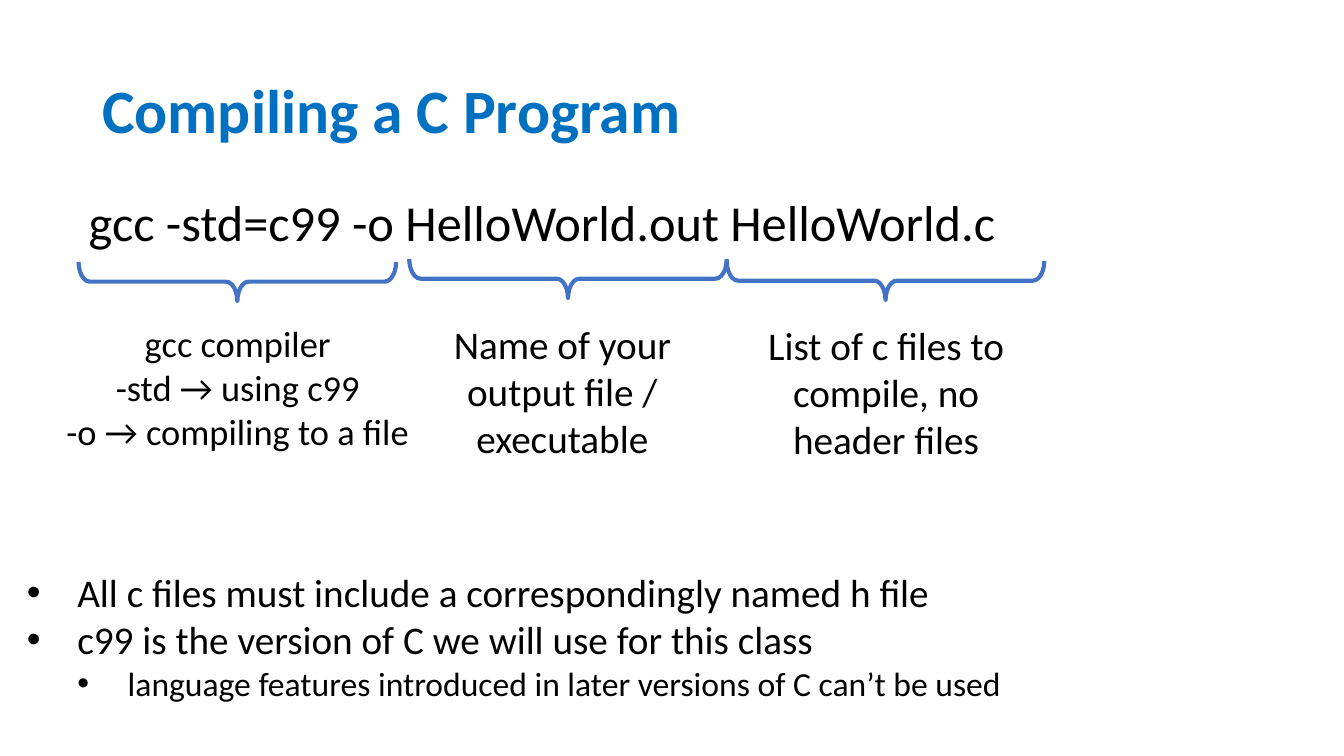
from dataclasses import dataclass
from typing import Any

from lxml import etree
from pptx import Presentation
from pptx import util as u
from pptx.dml.color import RGBColor
from pptx.enum import shapes, text
from pptx.oxml import ns

COLORS = {"title": "0070C0", "body": "000000", "brace": "4472C4"}


@dataclass
class SlideBuilder:
    s: Any
    font: str = "Calibri"
    indent: int = 36

    def text(self, box, lines, size, color="body", bold=False, align=None,
             anchor=text.MSO_ANCHOR.TOP, spacing=None):
        sp = self.s.shapes.add_textbox(*map(u.Pt, box))
        tf = sp.text_frame
        tf.word_wrap = True
        tf.vertical_anchor = anchor
        for i, line in enumerate(lines):
            p = tf.add_paragraph() if i else tf.paragraphs[0]
            p.text = line
            p.alignment = align
            p.line_spacing = spacing
            for r in p.runs:
                r.font.name = self.font
                r.font.size = u.Pt(size)
                r.font.bold = bold
                r.font.color.rgb = RGBColor.from_string(COLORS[color])
        return tf

    def bullets(self, box, items):
        tf = self.text(box, [line for line, _, _ in items], items[0][1])
        for p, (_, size, level) in zip(tf.paragraphs, items):
            p.level = level
            for r in p.runs:
                r.font.size = u.Pt(size)
            pPr = p._p.get_or_add_pPr()
            pPr.set("marL", str(u.Pt(self.indent * (level + 1))))
            pPr.set("indent", str(u.Pt(-self.indent)))
            etree.SubElement(pPr, ns.qn("a:buFont"), typeface="Arial")
            etree.SubElement(pPr, ns.qn("a:buChar"), char="•")

    def brace(self, left, top, depth=28, span=226.8):
        sp = self.s.shapes.add_shape(
            shapes.MSO_SHAPE.RIGHT_BRACE,
            *map(u.Pt, (left, top, depth, span)))
        sp.rotation = 90
        sp.adjustments[0] = 0.29
        sp.shadow.inherit = False
        sp.fill.background()
        sp.line.color.rgb = RGBColor.from_string(COLORS["brace"])
        sp.line.width = u.Pt(3)


def main():
    prs = Presentation()
    prs.slide_width, prs.slide_height = u.Pt(960), u.Pt(540)
    b = SlideBuilder(prs.slides.add_slide(prs.slide_layouts[6]))

    b.text((66, 28.8, 828, 104.4), ["Compiling a C Program"], 44, "title",
           bold=True, anchor=text.MSO_ANCHOR.MIDDLE, spacing=0.9)
    b.text((56.2, 133.2, 813.6, 51.1),
           ["gcc -std=c99 -o HelloWorld.out HelloWorld.c"], 36)

    parts = [
        ((155.5, 87.8), (36.7, 226.1, 266.4, 101.5), 26,
         ["gcc compiler\v-std → using c99", "-o → compiling to a file"]),
        ((391.7, 85.7), (293, 225.4, 217.4, 108.7), 28,
         ["Name of your output file / executable"]),
        ((618.5, 87.1), (524.2, 226.1, 217.4, 108.7), 28,
         ["List of c files to compile, no header files"]),
    ]
    for brace, box, size, lines in parts:
        b.brace(*brace)
        b.text(box, lines, size, align=text.PP_ALIGN.CENTER)

    b.bullets((12.2, 402.5, 881.3, 104.4), [
        ("All c files must include a correspondingly named h file", 28, 0),
        ("c99 is the version of C we will use for this class", 28, 0),
        ("language features introduced in later versions of C can’t be used",
         24, 1),
    ])
    prs.save("out.pptx")


if __name__ == "__main__":
    main()
